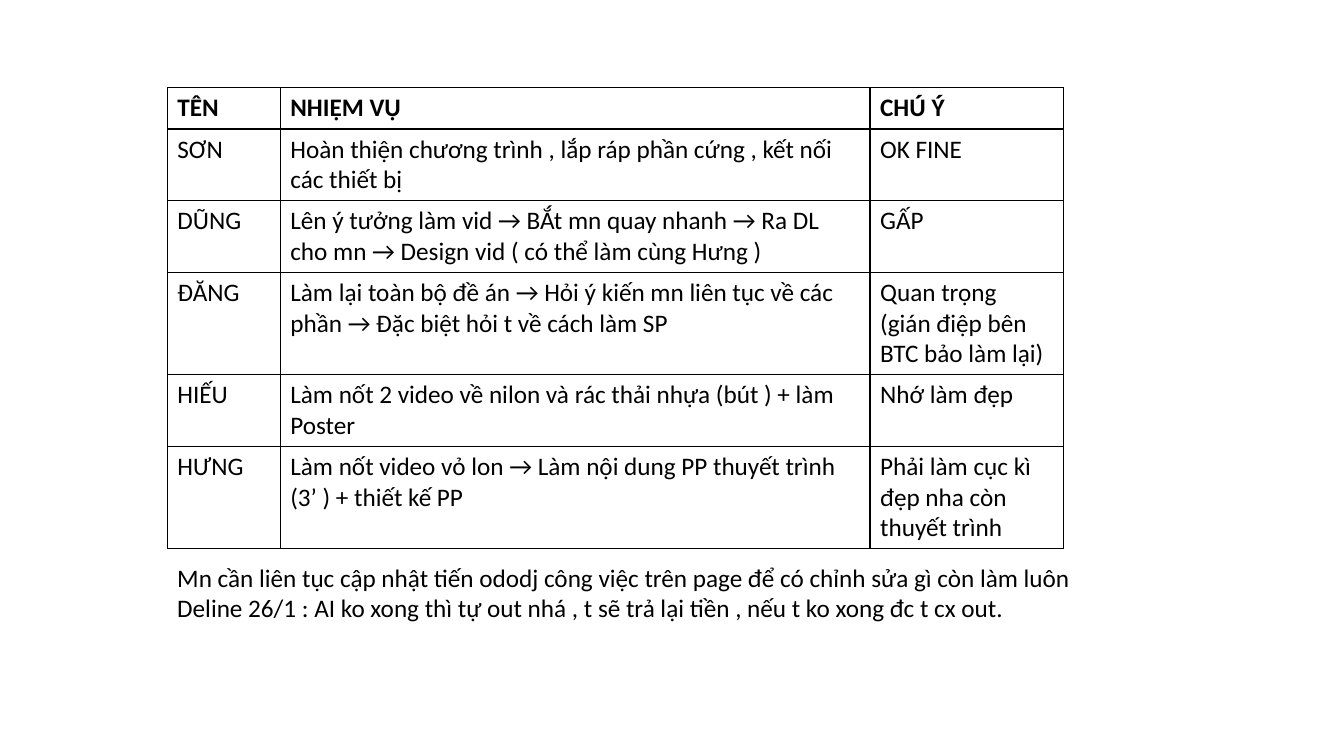
import lxml.etree
import pptx
import pptx.dml.color
import pptx.enum.text
import pptx.oxml.ns
import pptx.util
from pptx.util import Inches

COLUMN_WIDTHS = [1.12, 5.85, 1.92]
ROW_HEIGHT = 0.41
TASKS = [
    ["TÊN", "NHIỆM VỤ", "CHÚ Ý"],
    ["SƠN", "Hoàn thiện chương trình , lắp ráp phần cứng , kết nối các thiết bị", "OK FINE"],
    ["DŨNG",
     "Lên ý tưởng làm vid → BẮt mn quay nhanh → Ra DL cho mn → Design vid ( có thể làm cùng Hưng )",
     "GẤP"],
    ["ĐĂNG",
     "Làm lại toàn bộ đề án → Hỏi ý kiến mn liên tục về các phần → Đặc biệt hỏi t về cách làm SP",
     "Quan trọng\n(gián điệp bên BTC bảo làm lại)"],
    ["HIẾU", "Làm nốt 2 video về nilon và rác thải nhựa (bút ) + làm Poster", "Nhớ làm đẹp"],
    ["HƯNG", "Làm nốt video vỏ lon → Làm nội dung PP thuyết trình (3’ ) + thiết kế PP",
     "Phải làm cục kì đẹp nha còn thuyết trình"],
]
REMINDERS = (
    "Mn cần liên tục cập nhật tiến ododj công việc trên page để có chỉnh sửa gì còn làm luôn\n"
    "Deline 26/1 : AI ko xong thì tự out nhá , t sẽ trả lại tiền , nếu t ko xong đc t cx out."
)


def color(hex_string):
    return pptx.dml.color.RGBColor.from_string(hex_string)


class SlideBuilder:
    font = "Calibri"
    size = 18
    ink = "000000"
    paper = "FFFFFF"
    border_width = 1

    def __init__(self, slide):
        self.slide = slide

    def add_lines(self, text_frame, text, bold=False):
        """Put each line of the text in its own paragraph."""
        for index, line in enumerate(text.split("\n")):
            paragraph = text_frame.add_paragraph() if index else text_frame.paragraphs[0]
            run = paragraph.add_run()
            run.text = line
            run.font.name = self.font
            run.font.size = pptx.util.Pt(self.size)
            run.font.bold = bold
            run.font.color.rgb = color(self.ink)

    def add_borders(self, cell):
        """Draw all four sides; the lines must precede the fill in the cell properties."""
        properties = cell._tc.get_or_add_tcPr()
        qualified = pptx.oxml.ns.qn
        for position, side in enumerate(("a:lnL", "a:lnR", "a:lnT", "a:lnB")):
            line = lxml.etree.Element(qualified(side), w=str(pptx.util.Pt(self.border_width)))
            fill = lxml.etree.SubElement(line, qualified("a:solidFill"))
            lxml.etree.SubElement(fill, qualified("a:srgbClr"), val=self.ink)
            properties.insert(position, line)

    def add_table(self, left, top, rows, column_widths, row_height):
        table = self.slide.shapes.add_table(
            len(rows), len(column_widths), Inches(left), Inches(top),
            Inches(sum(column_widths)), Inches(row_height * len(rows))).table
        table.horz_banding = False
        for column, width in zip(table.columns, column_widths):
            column.width = Inches(width)
        for row_index, texts in enumerate(rows):
            table.rows[row_index].height = Inches(row_height)
            for column_index, text in enumerate(texts):
                cell = table.cell(row_index, column_index)
                cell.fill.solid()
                cell.fill.fore_color.rgb = color(self.paper)
                self.add_borders(cell)
                self.add_lines(cell.text_frame, text, bold=row_index == 0)

    def add_text(self, left, top, width, height, text):
        shape = self.slide.shapes.add_textbox(
            Inches(left), Inches(top), Inches(width), Inches(height))
        shape.text_frame.word_wrap = True
        shape.text_frame.auto_size = pptx.enum.text.MSO_AUTO_SIZE.SHAPE_TO_FIT_TEXT
        self.add_lines(shape.text_frame, text)


def main():
    presentation = pptx.Presentation()
    presentation.slide_width = Inches(13.33)
    presentation.slide_height = Inches(7.5)
    blank_layout = presentation.slide_layouts[6]
    builder = SlideBuilder(presentation.slides.add_slide(blank_layout))
    builder.add_table(1.66, 0.87, TASKS, COLUMN_WIDTHS, ROW_HEIGHT)
    builder.add_text(1.66, 5.53, 9.76, 0.71, REMINDERS)
    presentation.save("out.pptx")


if __name__ == "__main__":
    main()
